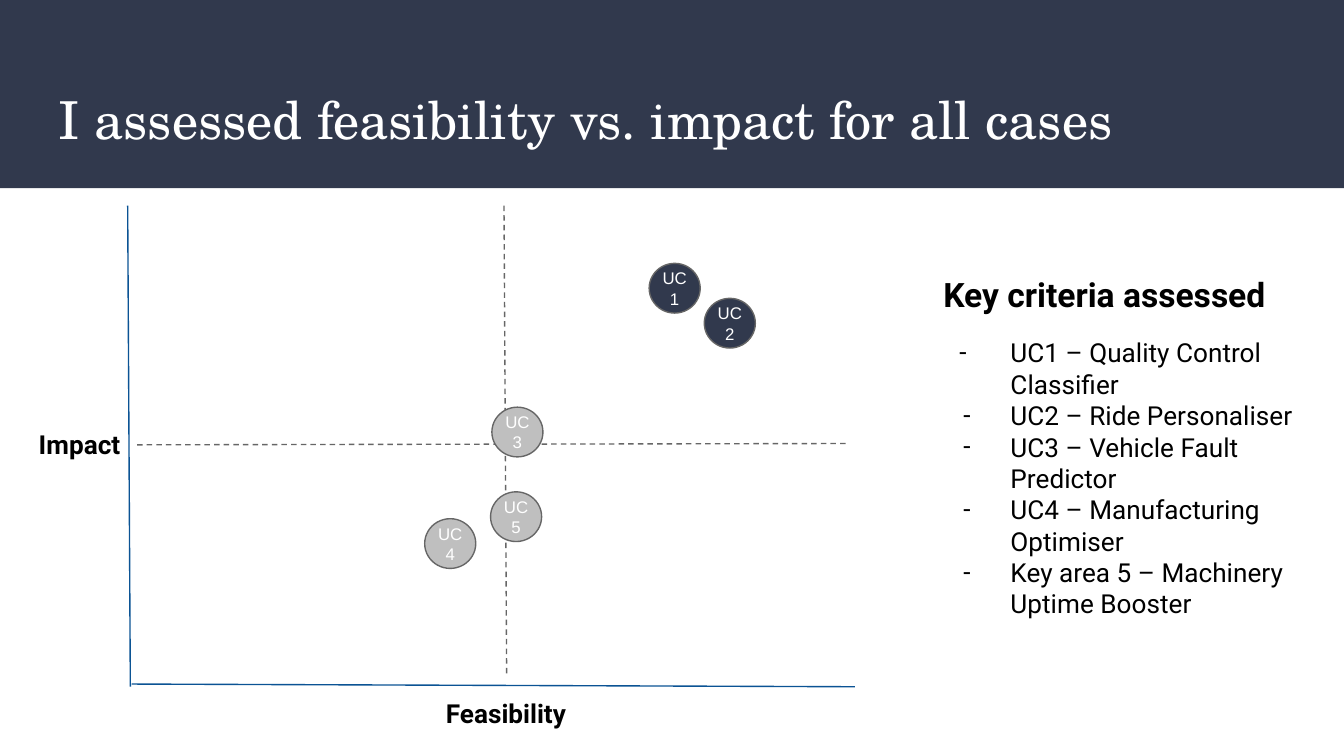
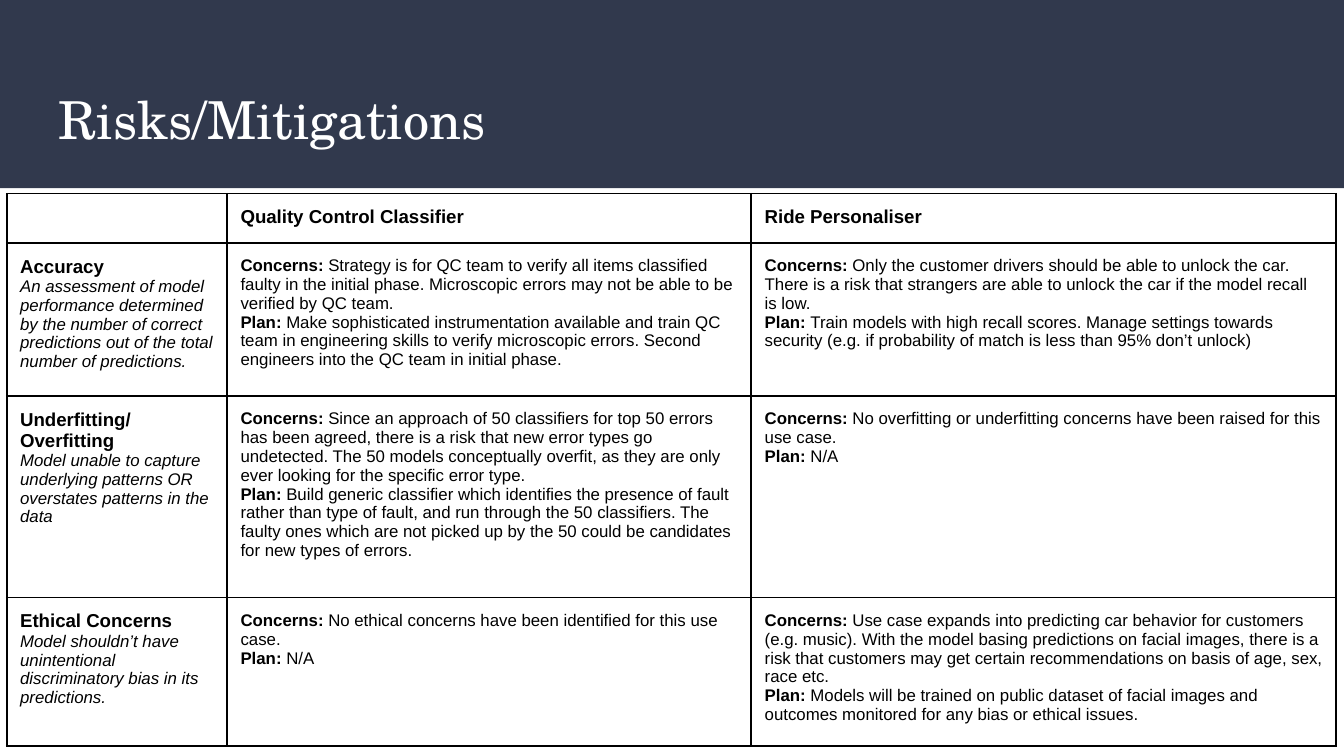
import copy
from dataclasses import dataclass
from typing import Any

import lxml.etree
import pptx
import pptx.dml.color
import pptx.enum.dml
import pptx.enum.shapes
import pptx.enum.text
import pptx.oxml
import pptx.oxml.ns
import pptx.util

Inches = pptx.util.Inches
Pt = pptx.util.Pt
Align = pptx.enum.text.PP_ALIGN
Anchor = pptx.enum.text.MSO_ANCHOR
Shape = pptx.enum.shapes.MSO_SHAPE
qn = pptx.oxml.ns.qn


@dataclass(frozen=True)
class Theme:
    navy: str = "31394D"
    white: str = "FFFFFF"
    black: str = "000000"
    gray: str = "666666"
    pale: str = "BFBFBF"
    blue: str = "0B5394"
    serif: str = "TeX Gyre Schola"
    sans: str = "Roboto"
    plain: str = "Arial"
    title: float = 28
    head: float = 18
    label: float = 14
    term: float = 10
    small: float = 9
    rule: float = 0.75
    border: float = 1
    inset: float = 0.1


THEME = Theme()


@dataclass(frozen=True)
class Font:
    face: str
    size: float
    color: str = THEME.black
    bold: bool = False
    slant: bool = False


TITLE = Font(THEME.serif, THEME.title, THEME.white)
HEAD = Font(THEME.sans, THEME.head, bold=True)
LABEL = Font(THEME.sans, THEME.label, bold=True)
ITEM = Font(THEME.sans, THEME.label)
BUBBLE = Font(THEME.plain, THEME.small, THEME.white)
TERM = Font(THEME.plain, THEME.term, bold=True)
GLOSS = Font(THEME.plain, THEME.small, slant=True)
LEAD = Font(THEME.plain, THEME.small, bold=True)
BODY = Font(THEME.plain, THEME.small)


@dataclass(frozen=True)
class Line:
    start: tuple[float, float]
    end: tuple[float, float]
    color: str
    dashed: bool = False


@dataclass(frozen=True)
class Bubble:
    case: int
    left: float
    top: float
    fill: str


@dataclass(frozen=True)
class Note:
    concern: str
    plan: str


@dataclass(frozen=True)
class Risk:
    term: str
    gloss: str
    notes: tuple[Note, Note]
    height: float


LINES = (
    Line((3.75, 1.53), (3.77, 5.02), THEME.gray, True),
    Line((1.02, 3.31), (6.31, 3.3), THEME.gray, True),
    Line((0.95, 1.53), (0.97, 5.11), THEME.blue),
    Line((6.36, 5.11), (0.98, 5.09), THEME.blue),
)
BUBBLES = (
    Bubble(5, 3.65, 3.66, THEME.pale),
    Bubble(4, 3.16, 3.86, THEME.pale),
    Bubble(1, 4.83, 1.96, THEME.navy),
    Bubble(3, 3.66, 3.03, THEME.pale),
    Bubble(2, 5.24, 2.22, THEME.navy),
)
CASES = (
    "UC1 – Quality Control Classifier",
    "UC2 – Ride Personaliser",
    "UC3 – Vehicle Fault Predictor",
    "UC4 – Manufacturing Optimiser",
    "Key area 5 – Machinery Uptime Booster",
)
HEADS = ("Quality Control Classifier", "Ride Personaliser")
WIDTHS = (1.64, 3.9, 4.35)
TOP_ROW = 0.26
RISKS = (
    Risk(
        "Accuracy",
        "An assessment of model performance determined by the number of correct "
        "predictions out of the total number of predictions.",
        (
            Note(
                "Strategy is for QC team to verify all items classified faulty in the initial "
                "phase. Microscopic errors may not be able to be verified by QC team.",
                "Make sophisticated instrumentation available and train QC team in engineering "
                "skills to verify microscopic errors. Second engineers into the QC team in "
                "initial phase.",
            ),
            Note(
                "Only the customer drivers should be able to unlock the car. There is a risk "
                "that strangers are able to unlock the car if the model recall is low.",
                "Train models with high recall scores. Manage settings towards security "
                "(e.g. if probability of match is less than 95% don’t unlock)",
            ),
        ),
        1.14,
    ),
    Risk(
        "Underfitting/Overfitting",
        "Model unable to capture underlying patterns OR overstates patterns in the data",
        (
            Note(
                "Since an approach of 50 classifiers for top 50 errors has been agreed, there "
                "is a risk that new error types go undetected. The 50 models conceptually "
                "overfit, as they are only ever looking for the specific error type.",
                "Build generic classifier which identifies the presence of fault rather than "
                "type of fault, and run through the 50 classifiers. The faulty ones which are "
                "not picked up by the 50 could be candidates for new types of errors.",
            ),
            Note(
                "No overfitting or underfitting concerns have been raised for this use case.",
                "N/A",
            ),
        ),
        1.5,
    ),
    Risk(
        "Ethical Concerns",
        "Model shouldn’t have unintentional discriminatory bias in its predictions.",
        (
            Note("No ethical concerns have been identified for this use case.", "N/A"),
            Note(
                "Use case expands into predicting car behavior for customers (e.g. music). "
                "With the model basing predictions on facial images, there is a risk that "
                "customers may get certain recommendations on basis of age, sex, race etc.",
                "Models will be trained on public dataset of facial images and outcomes "
                "monitored for any bias or ethical issues.",
            ),
        ),
        1.07,
    ),
)


def rgb(color: str) -> Any:
    return pptx.dml.color.RGBColor.from_string(color)


def style(para: Any, *fonts: Font) -> None:
    for i, run in enumerate(para.runs):
        font = fonts[min(i, len(fonts) - 1)]
        run.font.name = font.face
        run.font.size = Pt(font.size)
        run.font.bold = font.bold
        run.font.italic = font.slant
        run.font.color.rgb = rgb(font.color)
    for gap in para._p.findall(qn("a:br")):
        gap.insert(0, copy.deepcopy(gap.getprevious().find(qn("a:rPr"))))


def pad(area: Any, inset: float) -> None:
    area.margin_left = area.margin_right = Inches(inset)
    area.margin_top = area.margin_bottom = Inches(inset)


def add_text(slide: Any, box: tuple[float, float, float, float], text: str, font: Font,
             align: Any = Align.LEFT) -> Any:
    frame = slide.shapes.add_textbox(*map(Inches, box)).text_frame
    frame.word_wrap = True
    pad(frame, THEME.inset)
    frame.text = text
    for para in frame.paragraphs:
        para.alignment = align
        style(para, font)
    return frame


def add_shape(slide: Any, kind: Any, box: tuple[float, float, float, float], fill: str) -> Any:
    shape = slide.shapes.add_shape(kind, *map(Inches, box))
    shape.shadow.inherit = False
    shape.fill.solid()
    shape.fill.fore_color.rgb = rgb(fill)
    shape.line.fill.background()
    return shape


def add_slide(deck: Any, title: str) -> Any:
    slide = deck.slides.add_slide(deck.slide_layouts[6])
    add_shape(slide, Shape.RECTANGLE, (0, 0, 10, 1.4), THEME.navy)
    add_text(slide, (0.34, 0.55, 9.32, 0.68), title, TITLE)
    return slide


def add_line(slide: Any, line: Line) -> None:
    link = slide.shapes.add_connector(
        pptx.enum.shapes.MSO_CONNECTOR.STRAIGHT, *map(Inches, line.start + line.end))
    link.line.color.rgb = rgb(line.color)
    link.line.width = Pt(THEME.rule)
    if line.dashed:
        link.line.dash_style = pptx.enum.dml.MSO_LINE.DASH
    lxml.etree.SubElement(link._element.spPr, qn("a:effectLst"))


def add_bubble(slide: Any, bubble: Bubble) -> None:
    shape = add_shape(slide, Shape.OVAL, (bubble.left, bubble.top, 0.38, 0.37), bubble.fill)
    shape.line.color.rgb = rgb(THEME.gray)
    shape.line.width = Pt(THEME.rule)
    frame = shape.text_frame
    pad(frame, 0)
    frame.vertical_anchor = Anchor.MIDDLE
    para = frame.paragraphs[0]
    para.text = f"UC\n{bubble.case}"
    para.alignment = Align.CENTER
    style(para, BUBBLE)


def add_dash(para: Any, hang: float) -> None:
    props = para._p.get_or_add_pPr()
    props.set("marL", str(Inches(0.5)))
    props.set("indent", str(-Inches(hang)))
    tint = lxml.etree.SubElement(props, qn("a:buClr"))
    lxml.etree.SubElement(tint, qn("a:srgbClr"), val=THEME.black)
    lxml.etree.SubElement(props, qn("a:buFont"), typeface=THEME.sans)
    lxml.etree.SubElement(props, qn("a:buChar"), char="-")


def add_edges(cell: Any) -> None:
    props = cell._tc.get_or_add_tcPr()
    for i, side in enumerate(("lnL", "lnR", "lnT", "lnB")):
        edge = lxml.etree.Element(qn(f"a:{side}"), w=str(Pt(THEME.border)))
        fill = lxml.etree.SubElement(edge, qn("a:solidFill"))
        lxml.etree.SubElement(fill, qn("a:srgbClr"), val=THEME.black)
        props.insert(i, edge)


def add_note(cell: Any, note: Note) -> None:
    cell.text = "Concerns: \nPlan: "
    for para, text in zip(cell.text_frame.paragraphs, (note.concern, note.plan)):
        para.add_run().text = text
        style(para, LEAD, BODY)


def draw_map(deck: Any) -> None:
    slide = add_slide(deck, "I assessed feasibility vs. impact for all cases")
    for line in LINES:
        add_line(slide, line)
    frame = add_text(slide, (6.92, 1.94, 3.19, 0.96),
                     "\n".join(("Key criteria assessed", *CASES)), ITEM)
    head, *items = frame.paragraphs
    style(head, HEAD)
    head.space_after = Pt(12)
    for i, para in enumerate(items):
        add_dash(para, 0.35 if i else 0.38)
    add_text(slide, (0.19, 3.09, 0.83, 0.45), "Impact", LABEL)
    add_text(slide, (1.23, 5.09, 5.07, 0.45), "Feasibility", LABEL, Align.CENTER)
    for bubble in BUBBLES:
        add_bubble(slide, bubble)


def draw_risks(deck: Any) -> None:
    slide = add_slide(deck, "Risks/Mitigations")
    highs = (TOP_ROW, *(risk.height for risk in RISKS))
    grid = slide.shapes.add_table(
        len(highs), len(WIDTHS),
        *map(Inches, (0.05, 1.44, sum(WIDTHS), sum(highs)))).table
    grid.first_row = grid.horz_banding = False
    for col, width in zip(grid.columns, WIDTHS):
        col.width = Inches(width)
    for row, high in zip(grid.rows, highs):
        row.height = Inches(high)
    for cell in grid.iter_cells():
        pad(cell, THEME.inset)
        cell.fill.background()
        add_edges(cell)
    pad(grid.cell(0, 0), 0)
    for c, text in enumerate(HEADS, 1):
        cell = grid.cell(0, c)
        cell.text = text
        style(cell.text_frame.paragraphs[0], TERM)
    for r, risk in enumerate(RISKS, 1):
        para = grid.cell(r, 0).text_frame.paragraphs[0]
        para.text = f"{risk.term}\n{risk.gloss}"
        style(para, TERM, GLOSS)
        for c, note in enumerate(risk.notes, 1):
            add_note(grid.cell(r, c), note)


def main() -> None:
    deck = pptx.Presentation()
    deck.slide_width = Inches(10)
    deck.slide_height = deck.slide_width * 9 // 16
    draw_map(deck)
    draw_risks(deck)
    deck.save("out.pptx")


if __name__ == "__main__":
    main()
